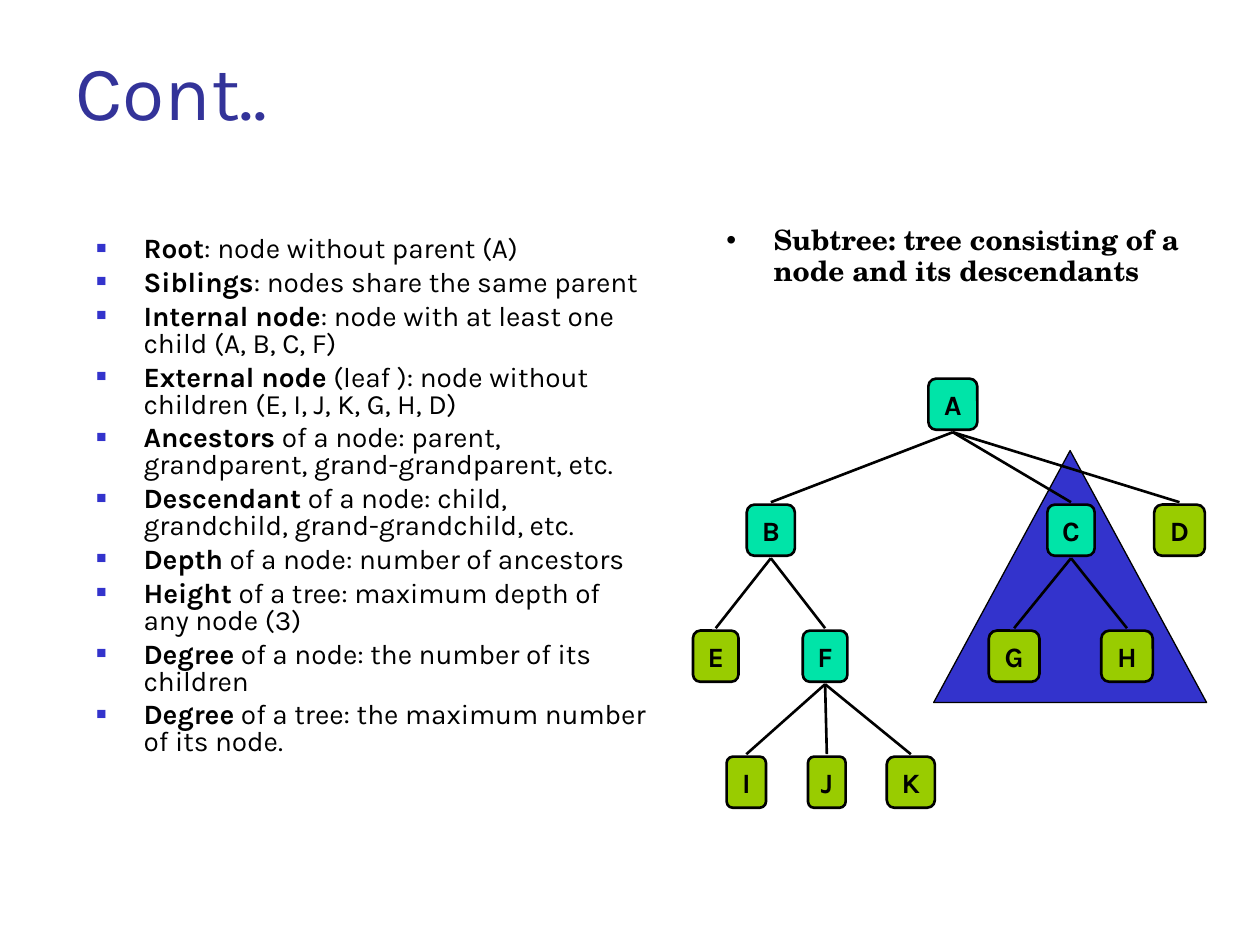
from collections import namedtuple

from lxml.etree import SubElement
from pptx import Presentation
from pptx.dml.color import RGBColor
from pptx.enum.shapes import MSO_CONNECTOR, MSO_SHAPE
from pptx.enum.text import MSO_ANCHOR, PP_ALIGN
from pptx.oxml.ns import qn
from pptx.util import Pt

BLACK = RGBColor(0x00, 0x00, 0x00)
TITLE_BLUE = RGBColor(0x33, 0x33, 0x99)
BLUE = RGBColor(0x33, 0x33, 0xCC)
INTERNAL_GREEN = RGBColor(0x00, 0xE4, 0xA8)
LEAF_GREEN = RGBColor(0x99, 0xCC, 0x00)

SANS = "Karla"
SERIF = "TeX Gyre Schola"

DEFINITIONS = [
    ("Root", ": node without parent (A)"),
    ("Siblings", ": nodes share the same parent"),
    ("Internal node", ": node with at least one child (A, B, C, F)"),
    ("External node", " (leaf ): node without children (E, I, J, K, G, H, D)"),
    ("Ancestors", " of a node: parent, grandparent, grand-grandparent, etc."),
    ("Descendant", " of a node: child, grandchild, grand-grandchild, etc."),
    ("Depth", " of a node: number of ancestors"),
    ("Height", " of a tree: maximum depth of any node (3)"),
    ("Degree", " of a node: the number of its children"),
    ("Degree", " of a tree: the maximum number of its node."),
]

# Level in the tree, horizontal centre and width of each node
Node = namedtuple("Node", "level center width")
NODES = {
    "A": Node(0, 544.5, 28),
    "B": Node(1, 440.5, 27.5),
    "C": Node(1, 612, 27),
    "D": Node(1, 674, 29),
    "E": Node(2, 409, 26),
    "F": Node(2, 471.5, 25.5),
    "G": Node(2, 579.5, 29),
    "H": Node(2, 644, 29.5),
    "I": Node(3, 426.5, 22.5),
    "J": Node(3, 472.5, 21.5),
    "K": Node(3, 520.5, 27.5),
}
CHILDREN = {"A": "BCD", "B": "EF", "C": "GH", "F": "IJK"}

ROOT_MIDDLE = 231
LEVEL_STEP = 72
NODE_HEIGHT = 29.25
EDGE_GAP = 16


def add_text(paragraph, text, size=16, font=SANS, color=BLACK, bold=False):
    """Append a formatted run to a paragraph."""
    run = paragraph.add_run()
    run.text = text
    run.font.size = Pt(size)
    run.font.name = font
    run.font.color.rgb = color
    run.font.bold = bold


def add_frame(slide, left, top, width, height):
    """Add a wrapping text box and return its text frame."""
    frame = slide.shapes.add_textbox(
        Pt(left), Pt(top), Pt(width), Pt(height)).text_frame
    frame.word_wrap = True
    return frame


def set_bullet(paragraph, mark, color, percent, line_spacing):
    """Give a paragraph a hanging bullet and its spacing."""
    paragraph.space_before = Pt(4)
    paragraph.line_spacing = line_spacing
    properties = paragraph._p.get_or_add_pPr()
    properties.set("marL", str(Pt(27)))
    properties.set("indent", str(Pt(-27)))
    bullet_color = SubElement(properties, qn("a:buClr"))
    SubElement(bullet_color, qn("a:srgbClr"), val=str(color))
    SubElement(properties, qn("a:buSzPct"), val=str(percent * 1000))
    SubElement(properties, qn("a:buFont"), typeface="Arial")
    SubElement(properties, qn("a:buChar"), char=mark)


def add_filled_shape(slide, preset, left, top, width, height, fill, line_width):
    """Add a flat shape with a black outline."""
    shape = slide.shapes.add_shape(
        preset, Pt(left), Pt(top), Pt(width), Pt(height))
    shape.shadow.inherit = False
    shape.fill.solid()
    shape.fill.fore_color.rgb = fill
    shape.line.color.rgb = BLACK
    shape.line.width = Pt(line_width)
    return shape


def level_middle(node):
    """Return the vertical centre of a node."""
    return ROOT_MIDDLE + node.level * LEVEL_STEP


def add_node(slide, letter):
    """Draw one tree node, coloured by whether it has children."""
    node = NODES[letter]
    box = add_filled_shape(
        slide, MSO_SHAPE.ROUNDED_RECTANGLE,
        node.center - node.width / 2, level_middle(node) - NODE_HEIGHT / 2,
        node.width, NODE_HEIGHT,
        INTERNAL_GREEN if letter in CHILDREN else LEAF_GREEN, 1.5)
    box.adjustments[0] = 0.16
    frame = box.text_frame
    frame.word_wrap = False
    frame.vertical_anchor = MSO_ANCHOR.MIDDLE
    label = frame.paragraphs[0]
    label.alignment = PP_ALIGN.CENTER
    add_text(label, letter, bold=True)


def add_edge(slide, parent, child):
    """Draw the line from a parent node to its child."""
    edge = slide.shapes.add_connector(
        MSO_CONNECTOR.STRAIGHT,
        Pt(parent.center), Pt(level_middle(parent) + EDGE_GAP),
        Pt(child.center), Pt(level_middle(child) - EDGE_GAP))
    edge.line.color.rgb = BLACK
    edge.line.width = Pt(1.5)
    SubElement(edge._element.spPr, qn("a:effectLst"))


def add_definitions(slide):
    """List the tree terms with their meanings."""
    frame = add_frame(slide, 48, 132, 330, 372)
    for index, (term, meaning) in enumerate(DEFINITIONS):
        definition = frame.add_paragraph() if index else frame.paragraphs[0]
        set_bullet(definition, "\u25a0", BLUE, 60, 0.8)
        add_text(definition, term, bold=True)
        add_text(definition, meaning)


def add_tree(slide):
    """Draw the subtree triangle, the nodes and the edges."""
    add_filled_shape(slide, MSO_SHAPE.ISOSCELES_TRIANGLE,
                     533.5, 257.5, 156, 144, BLUE, 0.75)
    for letter in NODES:
        add_node(slide, letter)
    for parent, children in CHILDREN.items():
        for child in children:
            add_edge(slide, NODES[parent], NODES[child])


def main():
    """Build the slide and save it."""
    presentation = Presentation()
    presentation.slide_width = Pt(720)
    presentation.slide_height = Pt(540)
    slide = presentation.slides.add_slide(presentation.slide_layouts[6])

    title = add_frame(slide, 36, 21.6, 648, 90).paragraphs[0]
    add_text(title, "Cont..", size=44, color=TITLE_BLUE)
    add_definitions(slide)
    add_tree(slide)
    subtree_note = add_frame(slide, 408, 126, 276, 78).paragraphs[0]
    set_bullet(subtree_note, "\u2022", BLACK, 100, 0.9)
    add_text(subtree_note,
             "Subtree: tree consisting of a node and its descendants",
             font=SERIF, bold=True)

    presentation.save("out.pptx")


main()
